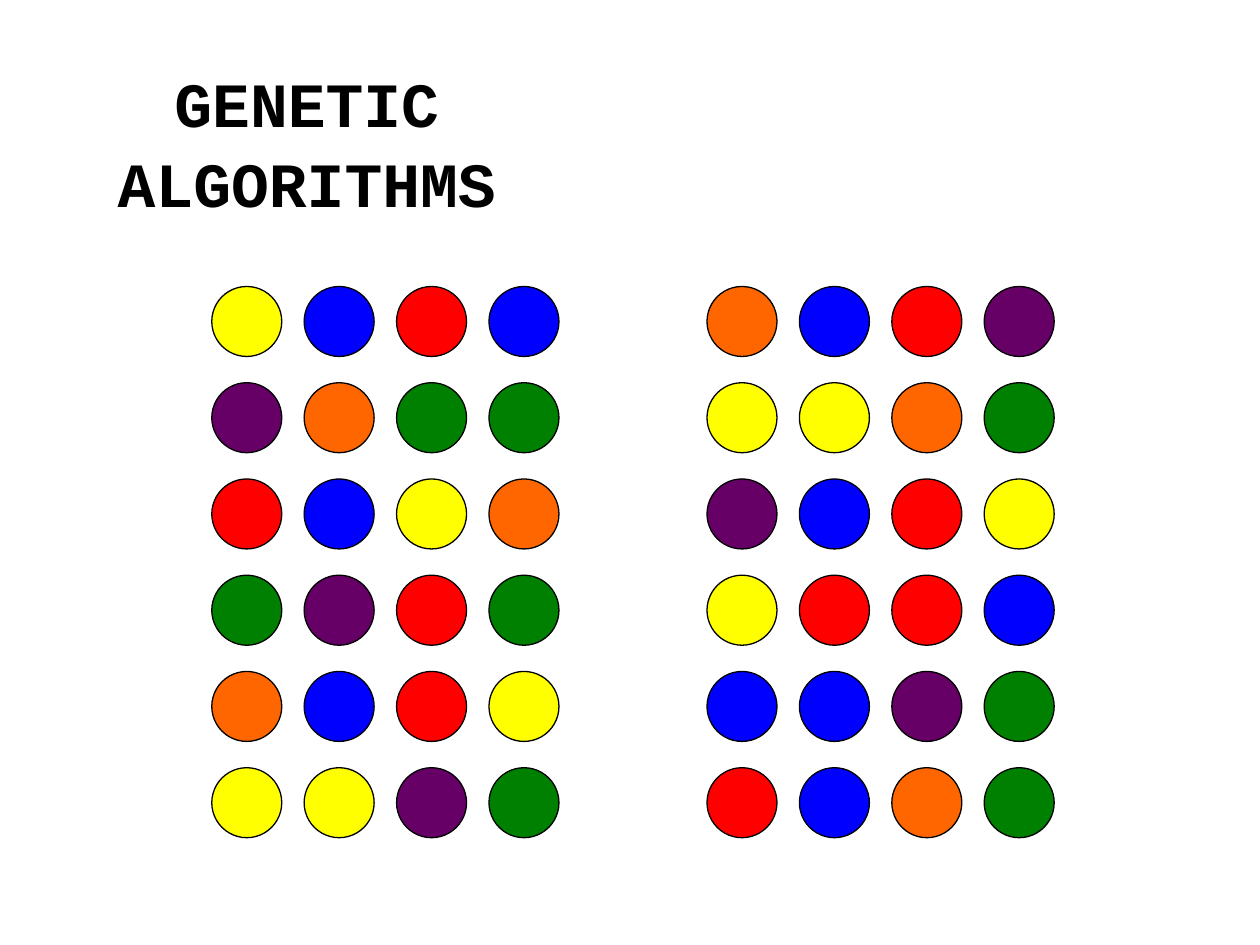
from pptx import Presentation
from pptx.dml.color import RGBColor
from pptx.enum.shapes import MSO_SHAPE
from pptx.enum.text import MSO_ANCHOR, MSO_AUTO_SIZE, PP_ALIGN
from pptx.util import Pt

COLORS = {"Y": "FFFF00", "B": "0000FF", "R": "FF0000",
          "P": "660066", "O": "FF6600", "G": "008000"}
POPULATIONS = [
    (121, ["YBRB", "POGG", "RBYO", "GPRG", "OBRY", "YYPG"]),
    (404, ["OBRP", "YYOG", "PBRY", "YRRB", "BBPG", "RBOG"]),
]
TOP, SIZE, COL_STEP, ROW_STEP = 163.7, 40, 52.8, 55


def rgb(value):
    """Turn a hex string into a colour."""
    return RGBColor.from_string(value)


def apply(obj, values):
    """Set each attribute named in a dict."""
    for name, value in values.items():
        setattr(obj, name, value)


class Deck:
    """Hold the style and the current slide."""

    font = {"name": "Courier New", "size": Pt(36), "bold": True}
    frame = {"word_wrap": True, "auto_size": MSO_AUTO_SIZE.NONE,
             "vertical_anchor": MSO_ANCHOR.TOP, "margin_top": Pt(7)}
    para = {"alignment": PP_ALIGN.CENTER, "line_spacing": 1.07}
    ink = "000000"

    def __init__(self, prs):
        """Add a title-only slide."""
        self.s = prs.slides.add_slide(prs.slide_layouts[5])

    def title(self, text, left, top, width, height):
        """Place and format the title."""
        sp = self.s.shapes.title
        apply(sp, {"left": Pt(left), "top": Pt(top),
                   "width": Pt(width), "height": Pt(height)})
        tf = sp.text_frame
        tf.text = text
        apply(tf, self.frame)
        p = tf.paragraphs[0]
        apply(p, self.para)
        for r in p.runs:
            apply(r.font, self.font)
            r.font.color.rgb = rgb(self.ink)

    def circle(self, left, top, size, color):
        """Add an outlined circle."""
        sp = self.s.shapes.add_shape(
            MSO_SHAPE.OVAL, Pt(left), Pt(top), Pt(size), Pt(size))
        sp.shadow.inherit = False
        sp.fill.solid()
        sp.fill.fore_color.rgb = rgb(color)
        sp.line.color.rgb = rgb(self.ink)
        sp.line.width = Pt(0.75)

    def population(self, left, rows):
        """Add a grid of circles, one row per individual."""
        for i, genes in enumerate(rows):
            for j, gene in enumerate(genes):
                self.circle(left + j * COL_STEP, TOP + i * ROW_STEP,
                            SIZE, COLORS[gene])


def main():
    """Build and save the slide."""
    prs = Presentation()
    apply(prs, {"slide_width": Pt(720), "slide_height": Pt(540)})
    deck = Deck(prs)
    deck.title("GENETIC\vALGORITHMS", 0, 26.6, 350.6, 94.3)
    for left, rows in POPULATIONS:
        deck.population(left, rows)
    prs.save("out.pptx")


if __name__ == "__main__":
    main()
